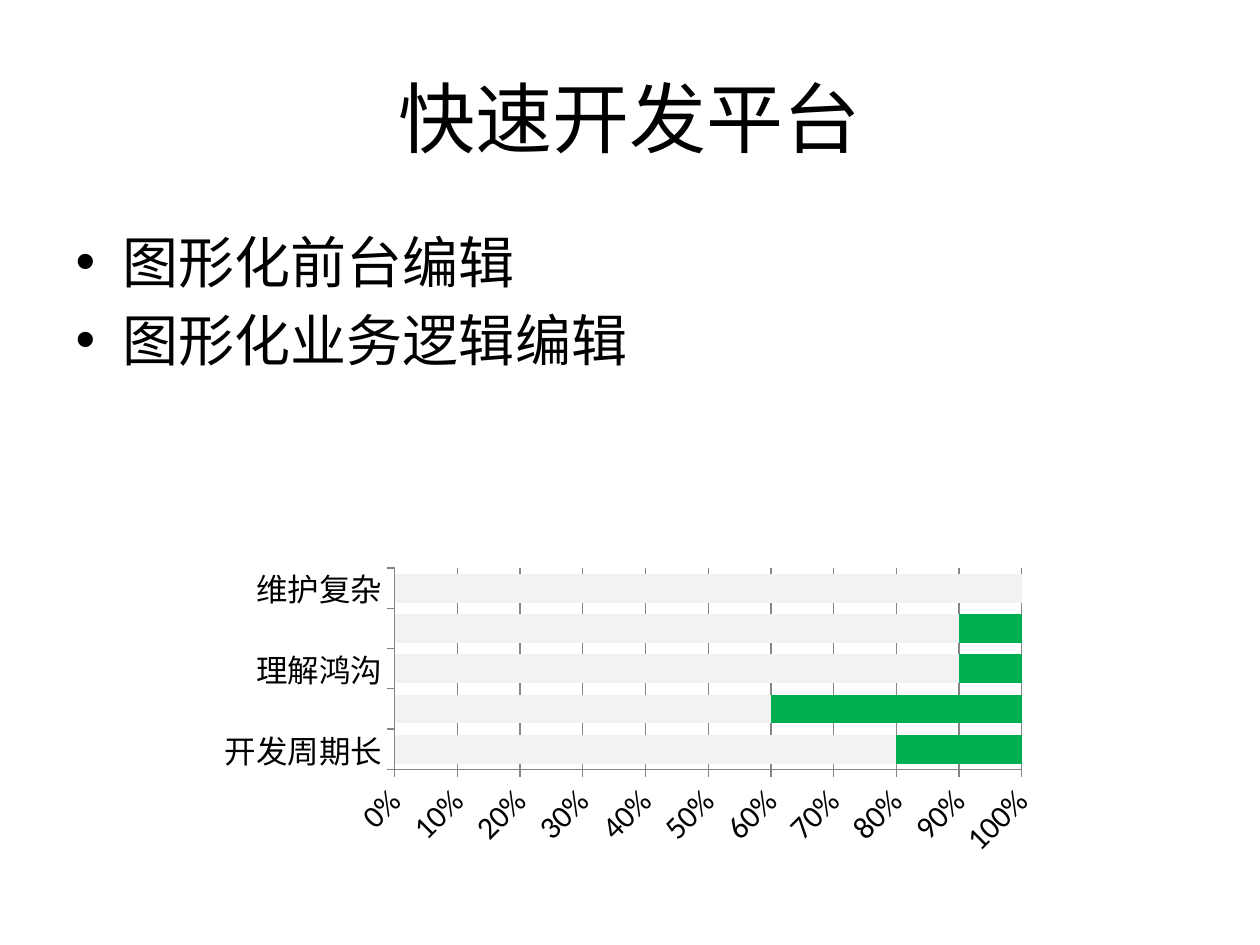
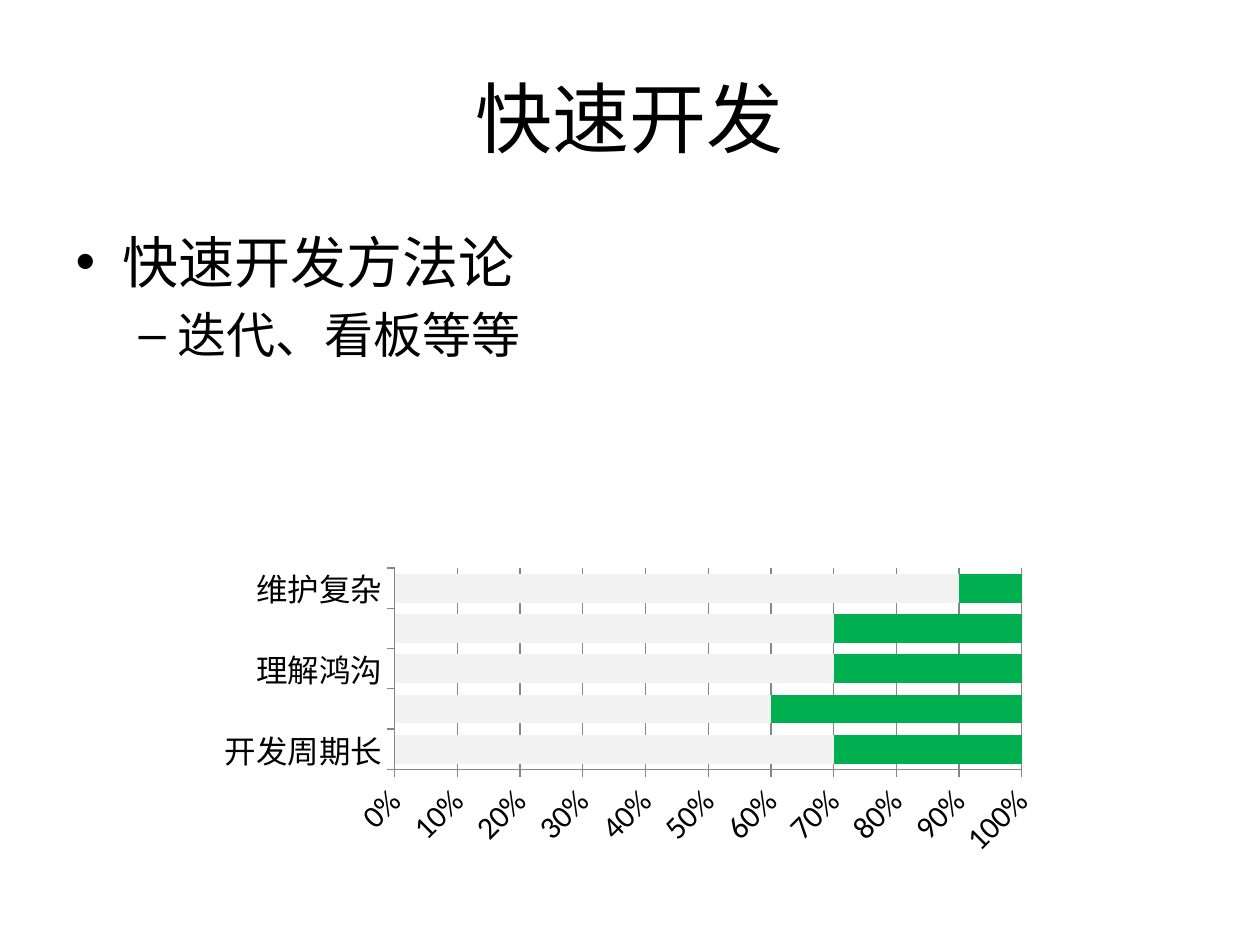
from pptx import Presentation
from pptx.chart.data import CategoryChartData
from pptx.dml.color import RGBColor
from pptx.enum import chart as charts, text
from pptx.util import Cm, Pt

FONT = "Calibri"
BLACK, GRID_GRAY = "000000", "868686"
SERIES_COLORS = ["F2F2F2", "00B050"]
LEVEL_SIZES = [32, 28]

TITLE_AREA = (1.27, 0.76, 22.86, 3.18)
BODY_AREA = (1.27, 4.45, 22.86, 12.57)
CHART_AREA = (4.19, 11.33, 17.02, 6.1)

PROBLEMS = ["开发周期长", "", "理解鸿沟", "", "维护复杂"]
SLIDES = [
    {
        "title": "快速开发平台",
        "points": [("图形化前台编辑", 0), ("图形化业务逻辑编辑", 0)],
        "remaining": [80, 60, 90, 90, 100],
    },
    {
        "title": "快速开发",
        "points": [("快速开发方法论", 0), ("迭代、看板等等", 1)],
        "remaining": [70, 60, 70, 70, 90],
    },
]


def color(value):
    return RGBColor.from_string(value)


def place(box, area):
    box.left, box.top, box.width, box.height = map(Cm, area)


def style_font(font, size):
    font.name = FONT
    font.size = Pt(size)
    font.color.rgb = color(BLACK)


def add_title(page, title):
    box = page.shapes.title
    place(box, TITLE_AREA)
    box.text_frame.text = title
    box.text_frame.vertical_anchor = text.MSO_ANCHOR.MIDDLE
    para = box.text_frame.paragraphs[0]
    para.alignment = text.PP_ALIGN.CENTER
    style_font(para.font, 44)


def add_points(page, points):
    box = page.placeholders[1]
    place(box, BODY_AREA)
    box.text_frame.text = "\n".join(words for words, _ in points)
    for para, (_, level) in zip(box.text_frame.paragraphs, points):
        para.level = level
        style_font(para.font, LEVEL_SIZES[level])


def add_bars(page, remaining):
    data = CategoryChartData()
    data.categories = PROBLEMS
    data.add_series("Series 1", remaining)
    data.add_series("Series 2", [100 - value for value in remaining])
    frame = page.shapes.add_chart(
        charts.XL_CHART_TYPE.BAR_STACKED_100, *map(Cm, CHART_AREA), data
    )
    chart = frame.chart
    chart.has_legend = False
    chart.has_title = False
    style_font(chart.font, 18)

    plot = chart.plots[0]
    plot.gap_width = 40
    plot.overlap = 100
    plot.vary_by_categories = False
    for series, fill_color in zip(plot.series, SERIES_COLORS):
        series.format.fill.solid()
        series.format.fill.fore_color.rgb = color(fill_color)

    for axis in (chart.category_axis, chart.value_axis):
        axis.major_tick_mark = charts.XL_TICK_MARK.OUTSIDE
        axis.minor_tick_mark = charts.XL_TICK_MARK.NONE
        axis.format.line.color.rgb = color(GRID_GRAY)
    scale = chart.value_axis
    scale.minimum_scale, scale.maximum_scale = 0, 1
    scale.has_major_gridlines = True
    scale.major_gridlines.format.line.color.rgb = color(GRID_GRAY)
    scale.tick_labels.number_format = "0%"
    scale.tick_labels.number_format_is_linked = False


def main():
    deck = Presentation()
    deck.slide_width, deck.slide_height = Cm(25.4), Cm(19.05)
    for content in SLIDES:
        page = deck.slides.add_slide(deck.slide_layouts[1])
        add_title(page, content["title"])
        add_points(page, content["points"])
        add_bars(page, content["remaining"])
    deck.save("out.pptx")


if __name__ == "__main__":
    main()
